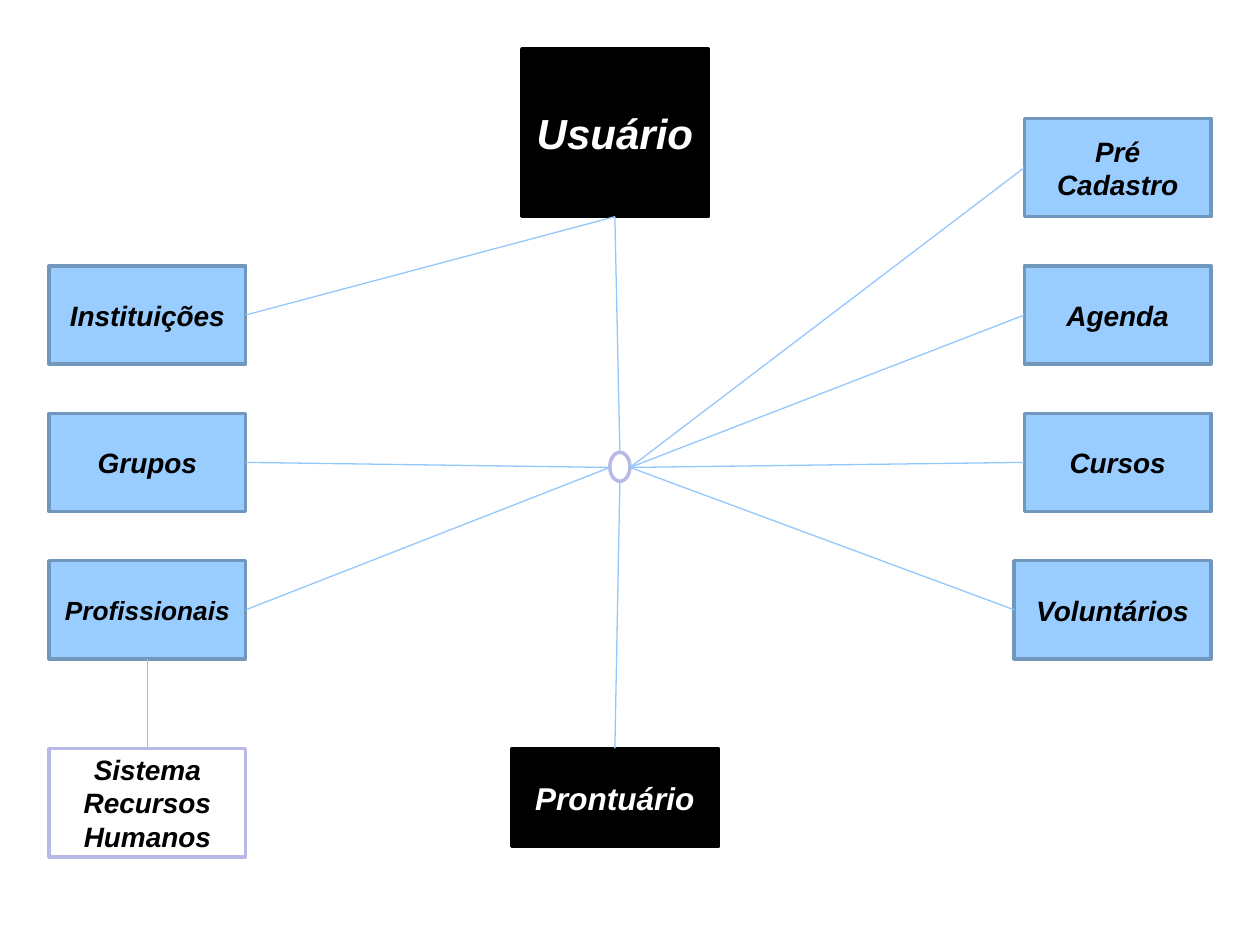
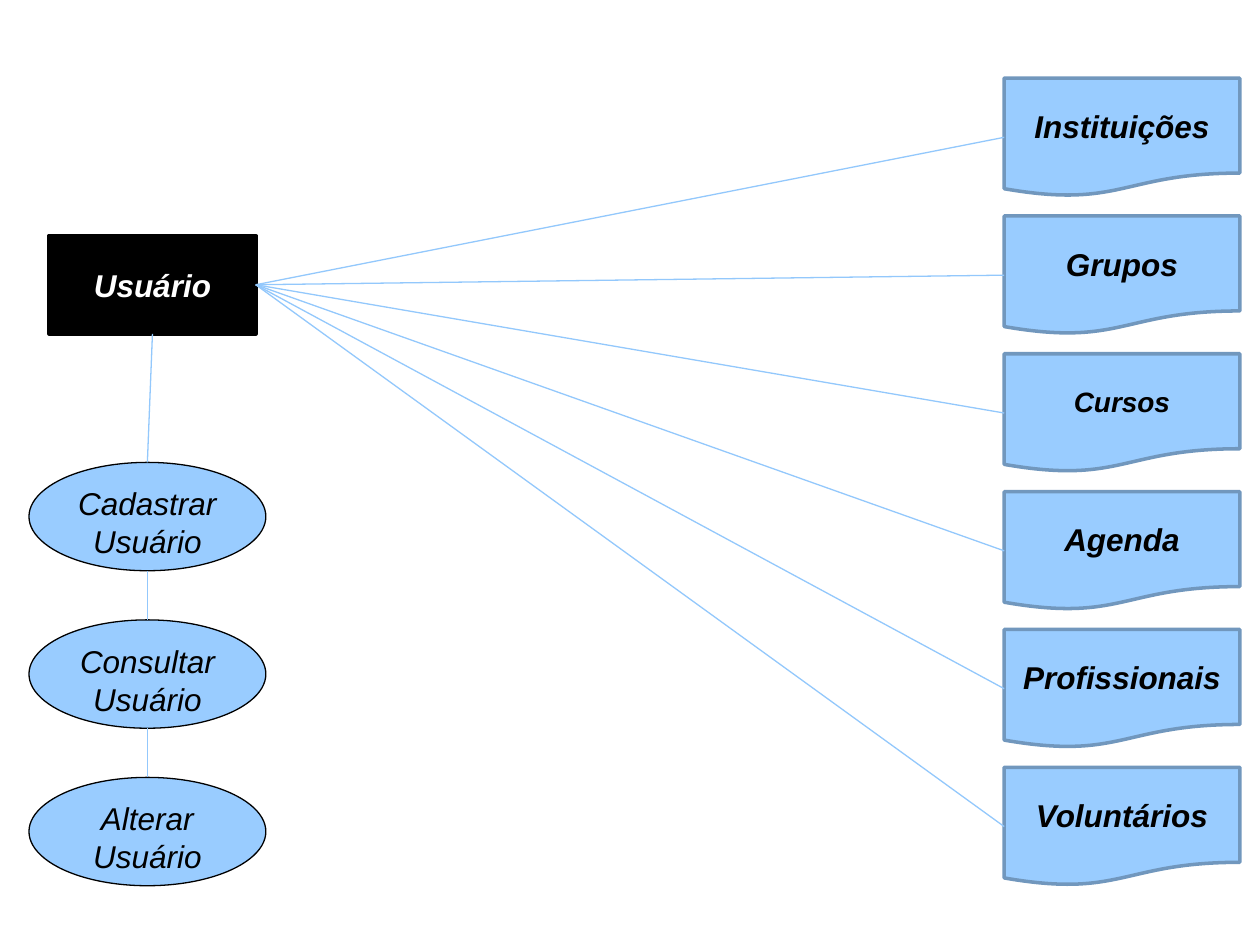
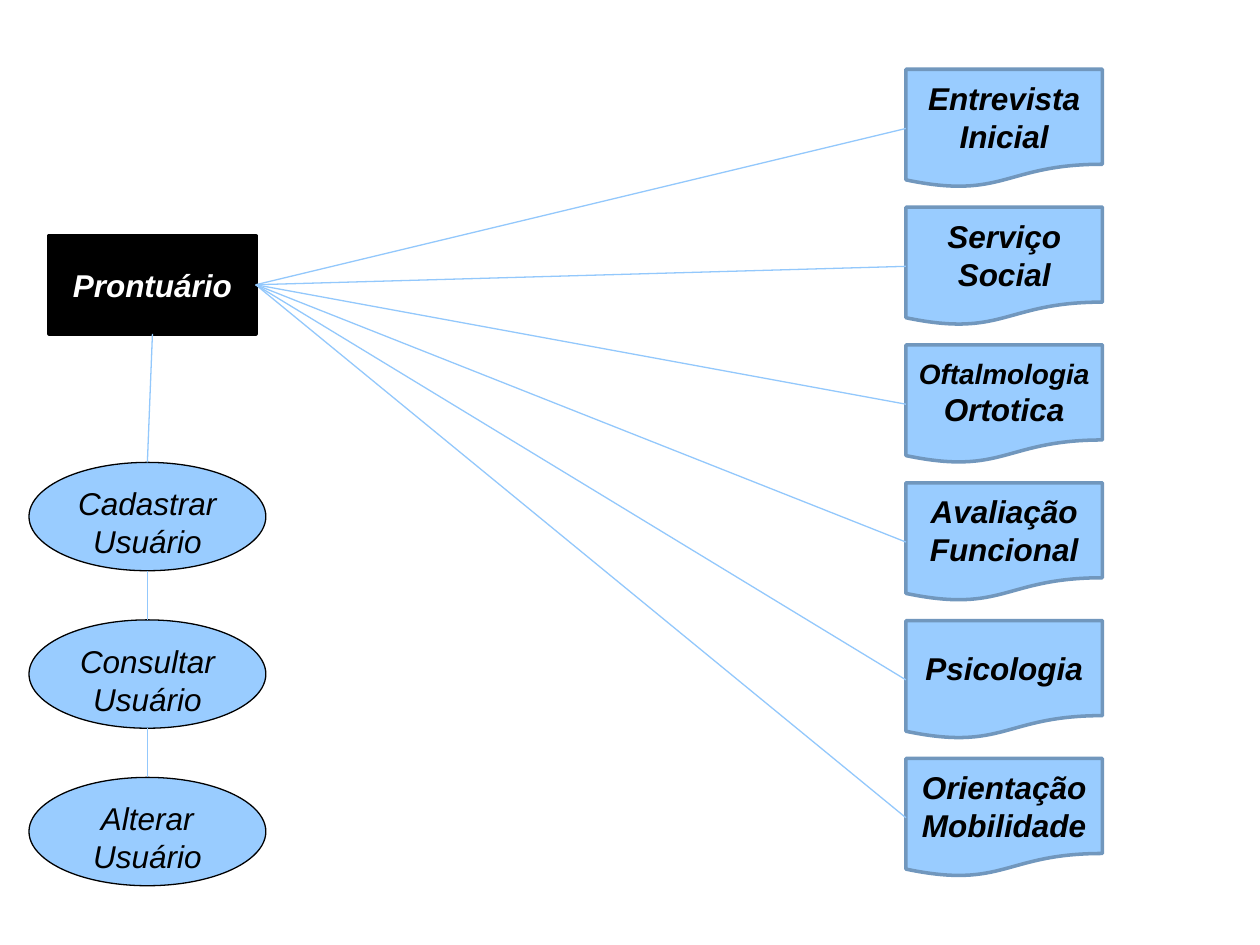
from pptx import Presentation
from pptx.dml.color import RGBColor as RGB
from pptx.enum.shapes import MSO_CONNECTOR as Line, MSO_SHAPE as Kind
from pptx.enum.text import MSO_ANCHOR as Anchor, PP_ALIGN as Align
from pptx.util import Inches, Pt
from lxml import etree

HEX = {
    "black": "000000", "white": "FFFFFF", "sky": "99CCFF",
    "steel": "7197BD", "lilac": "B9B9E7", "link": "93C8FC",
}
INK = {name: RGB.from_string(code) for name, code in HEX.items()}
FONT = "Arial"
NS = "{http://schemas.openxmlformats.org/drawingml/2006/main}"

# style: fill, line, text, line width
LOOK = {
    "main": ("black", "black", "white", 2),
    "part": ("sky", "steel", "black", 2),
    "open": ("white", "lilac", "black", 2),
    "task": ("sky", "black", "black", 0.75),
}


def box(slide, kind, rect, look, text="", size=16):
    fill, edge, ink, width = LOOK[look]
    shape = slide.shapes.add_shape(kind, *map(Inches, rect))
    shape.shadow.inherit = False
    shape.fill.solid()
    shape.fill.fore_color.rgb = INK[fill]
    shape.line.color.rgb = INK[edge]
    shape.line.width = Pt(width)
    if text:
        frame = shape.text_frame
        frame.text = text
        frame.word_wrap = True
        frame.vertical_anchor = Anchor.TOP if look == "task" else Anchor.MIDDLE
        for para in frame.paragraphs:
            para.alignment = Align.CENTER
            font = para.font
            font.name, font.size = FONT, Pt(size)
            font.bold, font.italic = look != "task", True
            font.color.rgb = INK[ink]
    return shape


def link(slide, start, end):
    """Draw a line; each end is (x, y) in inches or (shape, site)."""
    line = slide.shapes.add_connector(Line.STRAIGHT, 0, 0, 0, 0)
    if isinstance(start[0], (int, float)):
        line.begin_x, line.begin_y = map(Inches, start)
    else:
        line.begin_connect(*start)
    if isinstance(end[0], (int, float)):
        line.end_x, line.end_y = map(Inches, end)
    else:
        line.end_connect(*end)
    line.line.color.rgb = INK["link"]
    line.line.width = Pt(0.75)
    etree.SubElement(line._element.spPr, NS + "effectLst")


deck = Presentation()
deck.slide_width, deck.slide_height = Inches(10), Inches(7.5)
blank = deck.slide_layouts[6]

# Slide 1: overview around a hub
slide = deck.slides.add_slide(blank)
user = box(slide, Kind.FLOWCHART_PROCESS, (4.14, 0.39, 1.48, 1.33), "main", "Usuário", 24)
chart = box(slide, Kind.FLOWCHART_PROCESS, (4.06, 5.94, 1.64, 0.78), "main", "Prontuário", 18)
hub = box(slide, Kind.FLOWCHART_CONNECTOR, (4.84, 3.59, 0.16, 0.23), "open")
west, east, south = (4.84, 3.71), (5, 3.71), (4.92, 3.83)

top, step = 0.94, 1.17
left = []
for row, (name, size) in enumerate(
        [("Instituições", 16), ("Grupos", 16), ("Profissionais", 15)], 1):
    rect = (0.39, top + row * step, 1.56, 0.78)
    left.append(box(slide, Kind.FLOWCHART_PROCESS, rect, "part", name, size))
for row, (name, width) in enumerate(
        [("Pré Cadastro", 1.48), ("Agenda", 1.48), ("Cursos", 1.48), ("Voluntários", 1.56)]):
    rect = (9.61 - width, top + row * step, width, 0.78)
    part = box(slide, Kind.FLOWCHART_PROCESS, rect, "part", name)
    link(slide, east, (part, 1))
staff = box(slide, Kind.FLOWCHART_PROCESS, (0.39, 5.94, 1.56, 0.86), "open",
            "Sistema\nRecursos Humanos")

link(slide, (left[0], 3), (user, 2))
for part in left[1:]:
    link(slide, (part, 3), west)
link(slide, (user, 2), (hub, 0))
link(slide, (chart, 0), south)
link(slide, (staff, 0), (left[2], 2))

# Slides 2 and 3: one root, its documents and its tasks
TREES = [
    ("Usuário", 7.97, 0.62, 1.87,
     ["Instituições", "Grupos", "Cursos", "Agenda", "Profissionais", "Voluntários"]),
    ("Prontuário", 7.19, 0.55, 1.56,
     ["Entrevista\nInicial", "Serviço\nSocial", "Oftalmologia\nOrtotica",
      "Avaliação\nFuncional", "Psicologia", "Orientação\nMobilidade"]),
]
SMALL = ("Cursos", "Oftalmologia")
TASKS = ["Cadastrar Usuário", "Consultar Usuário", "Alterar Usuário"]

for name, x, top, width, docs in TREES:
    slide = deck.slides.add_slide(blank)
    root = box(slide, Kind.FLOWCHART_PROCESS, (0.39, 1.87, 1.64, 0.78), "main", name, 18)
    for row, text in enumerate(docs):
        rect = (x, top + row * 5.47 / 5, width, 0.94)
        doc = box(slide, Kind.FLOWCHART_DOCUMENT, rect, "part", text, 18)
        for para in doc.text_frame.paragraphs:
            if para.text in SMALL:
                para.font.size = Pt(16)
        link(slide, (root, 3), (doc, 1))
    last = (root, 2)
    for row, text in enumerate(TASKS):
        y = 3.67 + row * 1.25
        task = box(slide, Kind.OVAL, (0.23, y, 1.88, 0.86), "task", text, 18)
        link(slide, last, (task, 0))
        last = (1.17, y + 0.86)

deck.save("out.pptx")
